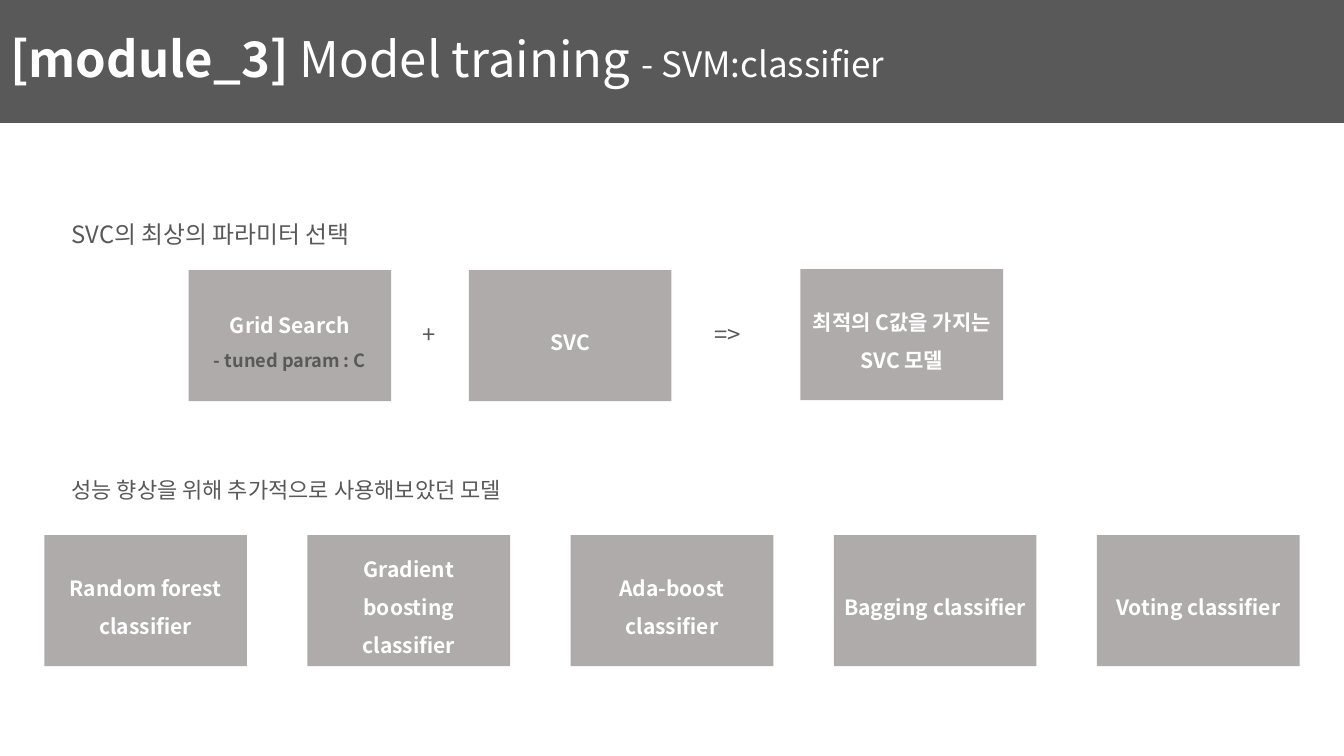
from dataclasses import dataclass

from lxml.etree import SubElement
from pptx import Presentation
from pptx.dml.color import RGBColor
from pptx.enum.shapes import MSO_SHAPE as Preset
from pptx.enum.text import MSO_ANCHOR as Anchor, MSO_AUTO_SIZE as AutoSize, PP_ALIGN as Align
from pptx.oxml.ns import qn
from pptx.util import Inches, Pt


@dataclass(frozen=True)
class Theme:
    font: str = "Noto Sans CJK KR"
    dark: str = "595959"
    box: str = "AFABAB"
    light: str = "FFFFFF"
    title: float = 35
    subtitle: float = 25
    heading: float = 17
    subheading: float = 15.7
    label: float = 15
    detail: float = 13


class Deck:
    BOX_SIZE = (15.08, 17.33)
    TEXT_HEIGHT = 5.87

    def __init__(self, theme):
        self.theme = theme
        self.show = Presentation()
        self.show.slide_width, self.show.slide_height = Inches(13.33), Inches(7.5)
        self.slide = self.show.slides.add_slide(self.show.slide_layouts[5])

    def area(self, left, top, width, height):
        across, down = self.show.slide_width / 100, self.show.slide_height / 100
        return [int(left * across), int(top * down), int(width * across), int(height * down)]

    def fill(self, shape, color):
        shape.fill.solid()
        shape.fill.fore_color.rgb = RGBColor.from_string(color)

    def add_run(self, paragraph, words, size, color, bold=False):
        run = paragraph.add_run()
        run.text = words
        run.font.size = Pt(size)
        run.font.bold = bold
        run.font.color.rgb = RGBColor.from_string(color)
        run.font.name = self.theme.font
        SubElement(run.font._element, qn("a:ea"), typeface=self.theme.font)

    def title(self, height, runs):
        banner = self.slide.shapes.title
        banner.left, banner.top, banner.width, banner.height = self.area(0, 0, 100, height)
        self.fill(banner, self.theme.dark)
        banner.text_frame.auto_size = AutoSize.NONE
        banner.text_frame.vertical_anchor = Anchor.MIDDLE
        line = banner.text_frame.paragraphs[0]
        line.alignment = Align.LEFT
        line.line_spacing = 0.9
        for words, size, bold in runs:
            self.add_run(line, words, size, self.theme.light, bold)

    def box(self, left, top, label, detail=None):
        card = self.slide.shapes.add_shape(Preset.RECTANGLE, *self.area(left, top, *self.BOX_SIZE))
        card.shadow.inherit = False
        self.fill(card, self.theme.box)
        card.line.fill.background()
        frame = card.text_frame
        frame.word_wrap = True
        frame.vertical_anchor = Anchor.MIDDLE
        lines = [(label, self.theme.label, self.theme.light)]
        if detail:
            lines.append((detail, self.theme.detail, self.theme.dark))
        for index, (words, size, color) in enumerate(lines):
            line = frame.add_paragraph() if index else frame.paragraphs[0]
            line.alignment = Align.CENTER
            line.line_spacing = 1.5
            self.add_run(line, words, size, color, True)

    def text(self, left, top, width, words, size):
        caption = self.slide.shapes.add_textbox(*self.area(left, top, width, self.TEXT_HEIGHT))
        caption.text_frame.word_wrap = True
        line = caption.text_frame.paragraphs[0]
        line.line_spacing = 0.9
        line.space_before = Pt(10)
        self.add_run(line, words, size, self.theme.dark)


def main():
    theme = Theme()
    deck = Deck(theme)
    deck.title(16.27, [
        ("[module_3] ", theme.title, True),
        ("Model training ", theme.title, False),
        ("- SVM:classifier", theme.subtitle, False),
    ])

    deck.text(4.58, 28.8, 25.06, "SVC의 최상의 파라미터 선택", theme.heading)
    deck.box(14.03, 35.73, "Grid Search", "- tuned param : C")
    deck.text(30.68, 42.13, 2.63, "+", theme.heading)
    deck.box(34.88, 35.73, "SVC")
    deck.text(52.44, 42.13, 4.65, "=>", theme.heading)
    deck.box(59.56, 35.6, "최적의 C값을 가지는 SVC 모델")

    deck.text(4.58, 62.8, 36.61, "성능 향상을 위해 추가적으로 사용해보았던 모델", theme.subheading)
    models = ["Random forest", "Gradient boosting", "Ada-boost", "Bagging", "Voting"]
    for column, model in enumerate(models):
        deck.box(3.3 + column * 19.58, 70.8, f"{model} classifier")

    deck.show.save("out.pptx")


if __name__ == "__main__":
    main()
